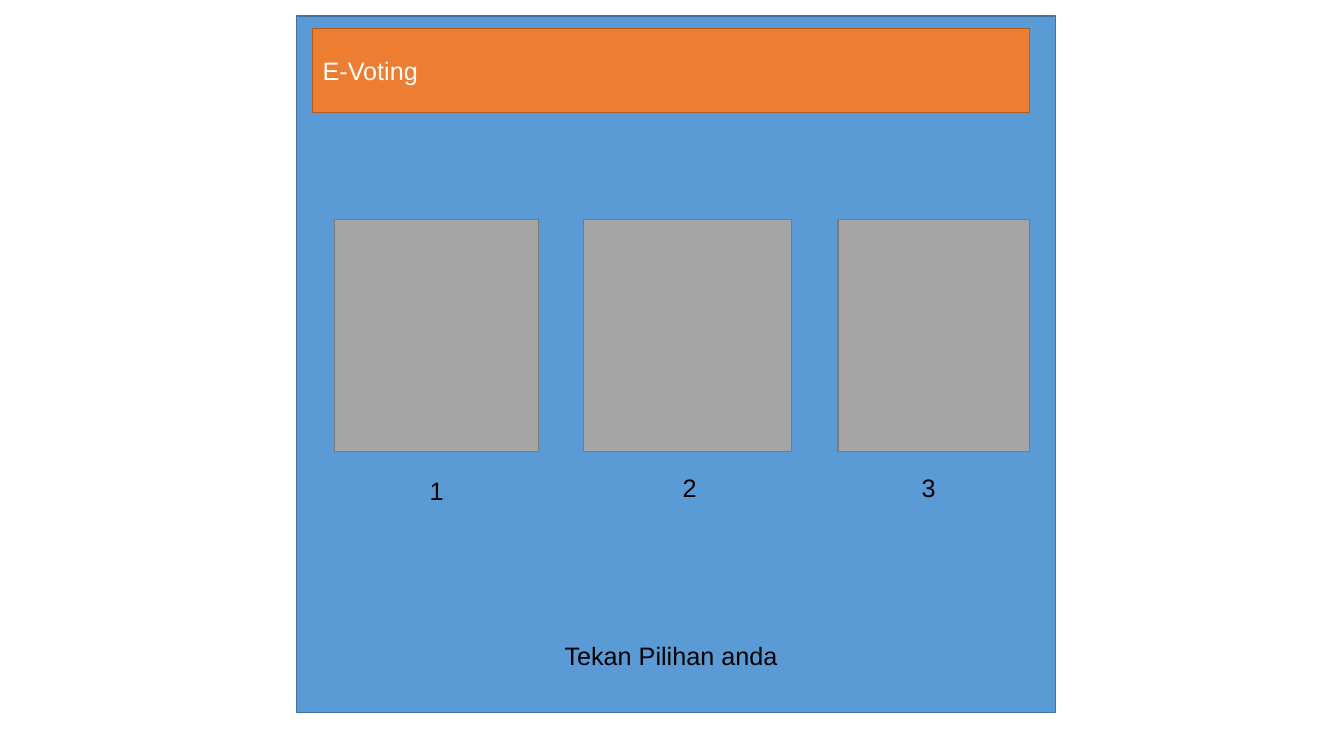
from pptx import Presentation
from pptx.dml.color import RGBColor
from pptx.enum.shapes import MSO_SHAPE as Shape
from pptx.enum.text import MSO_ANCHOR as Anchor, MSO_AUTO_SIZE as AutoSize, PP_ALIGN as Align
from pptx.util import Inches, Pt

TITLE = "E-Voting"
PROMPT = "Tekan Pilihan anda"
CHOICES = [
    {"number": "1", "left": 3.32, "width": 2.02, "label_left": 3.32, "label_top": 4.67},
    {"number": "2", "left": 5.79, "width": 2.06, "label_left": 5.83, "label_top": 4.64},
    {"number": "3", "left": 8.31, "width": 1.9, "label_left": 8.2, "label_top": 4.64},
]
PANEL = (2.94, 0.16, 7.53, 6.91)
BAND_LEFT, BAND_WIDTH = 3.1, 7.11
TITLE_TOP, PROMPT_TOP = 0.5, 6.3
CARD_TOP, CARD_HEIGHT = 2.18, 2.3
LABEL_WIDTH, LINE_HEIGHT = 2.02, 0.4

THEME = {
    "panel": ("5B9BD5", "43739E"),
    "title": ("ED7D31", "AF5C24"),
    "card": ("A5A5A5", "7A7A7A"),
    "light": "FFFFFF",
    "dark": "000000",
    "font": "Arial",
    "size": 18,
    "outline": 1,
}


def paint(shape, role):
    fill, line = THEME[role]
    shape.fill.solid()
    shape.fill.fore_color.rgb = RGBColor.from_string(fill)
    shape.line.color.rgb = RGBColor.from_string(line)
    shape.line.width = Pt(THEME["outline"])


def add_rectangle(page, area, role):
    box = page.shapes.add_shape(Shape.RECTANGLE, *map(Inches, area))
    box.shadow.inherit = False
    paint(box, role)
    return box


def write(box, text, color, align):
    frame = box.text_frame
    frame_format = {
        "word_wrap": True,
        "auto_size": AutoSize.SHAPE_TO_FIT_TEXT,
        "vertical_anchor": Anchor.MIDDLE,
        "margin_left": Inches(0.1),
        "margin_right": Inches(0.1),
        "margin_top": Inches(0.05),
        "margin_bottom": Inches(0.05),
    }
    for name, value in frame_format.items():
        setattr(frame, name, value)
    para = frame.paragraphs[0]
    para.alignment = align
    span = para.add_run()
    span.text = text
    for name, value in {"name": THEME["font"], "size": Pt(THEME["size"])}.items():
        setattr(span.font, name, value)
    span.font.color.rgb = RGBColor.from_string(THEME[color])


def add_label(page, text, left, top, width):
    box = page.shapes.add_textbox(*map(Inches, (left, top, width, LINE_HEIGHT)))
    write(box, text, "dark", Align.CENTER)


def main():
    deck = Presentation()
    deck.slide_width, deck.slide_height = Inches(13.33), Inches(7.5)
    page = deck.slides.add_slide(deck.slide_layouts[5])

    title = page.shapes.title
    area = (BAND_LEFT, TITLE_TOP, BAND_WIDTH, LINE_HEIGHT)
    for name, value in zip(("left", "top", "width", "height"), area):
        setattr(title, name, Inches(value))
    paint(title, "title")
    write(title, TITLE, "light", Align.LEFT)

    panel = add_rectangle(page, PANEL, "panel")
    title.element.addprevious(panel.element)

    for choice in CHOICES:
        add_rectangle(page, (choice["left"], CARD_TOP, choice["width"], CARD_HEIGHT), "card")
        add_label(page, choice["number"], choice["label_left"], choice["label_top"], LABEL_WIDTH)
    add_label(page, PROMPT, BAND_LEFT, PROMPT_TOP, BAND_WIDTH)

    deck.save("out.pptx")


if __name__ == "__main__":
    main()
